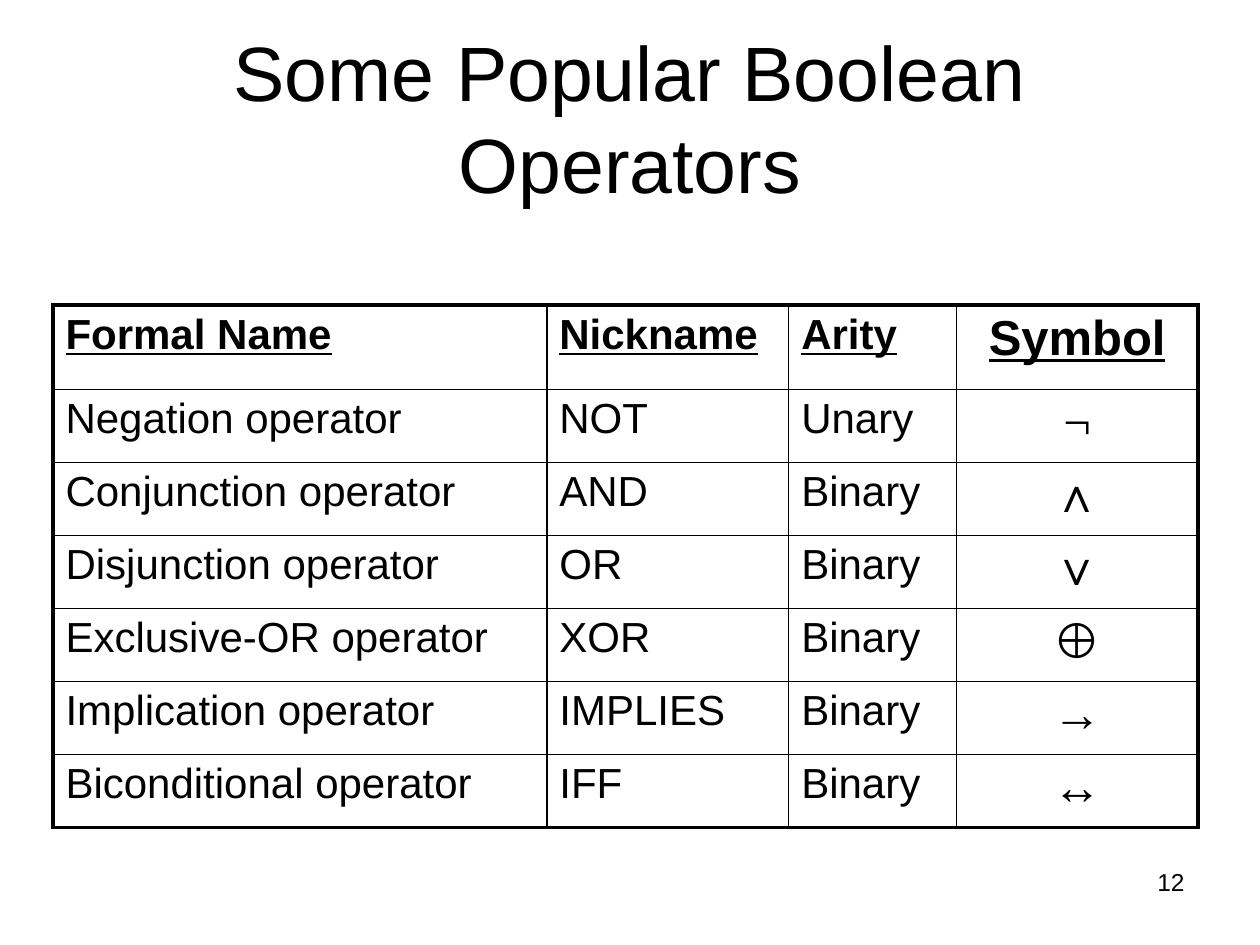
from lxml import etree
from pptx import Presentation
from pptx.dml.color import RGBColor
from pptx.enum import text
from pptx.oxml import ns
from pptx.util import Inches, Pt

BLACK, WHITE = "000000", "FFFFFF"
THIN, THICK = 1, 2.25


def style(paragraph, size, font="Arial", align=text.PP_ALIGN.LEFT):
    paragraph.alignment = align
    paragraph.font.size = Pt(size)
    paragraph.font.name = font
    paragraph.font.color.rgb = RGBColor.from_string(BLACK)


def add_child(parent, tag, **attributes):
    return etree.SubElement(parent, ns.qn(tag), attributes)


prs = Presentation()
prs.slide_width, prs.slide_height = Inches(10), Inches(7.5)
slide = prs.slides.add_slide(prs.slide_layouts[5])

title = slide.shapes.title
title.left, title.top, title.width, title.height = map(Inches, (0.5, 0.3, 9, 1.25))
title.text_frame.text = "Some Popular Boolean Operators"
title.text_frame.auto_size = text.MSO_AUTO_SIZE.NONE
title.text_frame.vertical_anchor = text.MSO_ANCHOR.MIDDLE
style(title.text_frame.paragraphs[0], 44, align=text.PP_ALIGN.CENTER)

operators = [
    ("Formal Name", "Nickname", "Arity", "Symbol"),
    ("Negation operator", "NOT", "Unary", "¬"),
    ("Conjunction operator", "AND", "Binary", "∧"),
    ("Disjunction operator", "OR", "Binary", "∨"),
    ("Exclusive-OR operator", "XOR", "Binary", "⊕"),
    ("Implication operator", "IMPLIES", "Binary", "→"),
    ("Biconditional operator", "IFF", "Binary", "↔"),
]
column_widths = [3.92, 1.92, 1.33, 1.92]
last_row, last_column = len(operators) - 1, len(column_widths) - 1
table = slide.shapes.add_table(len(operators), len(column_widths), Inches(0.42),
                               Inches(2.42), Inches(9.08), Inches(4.17)).table
for column, width in zip(table.columns, column_widths):
    column.width = Inches(width)
for r, row in enumerate(table.rows):
    row.height = Inches(0.67 if r == 0 else 0.58)

for r, values in enumerate(operators):
    for c, value in enumerate(values):
        cell = table.cell(r, c)
        cell.text = value
        paragraph = cell.text_frame.paragraphs[0]
        header, symbol = r == 0, c == last_column
        style(paragraph, 28 if symbol else 24,
              "Times New Roman" if symbol and not header else "Arial",
              text.PP_ALIGN.CENTER if symbol else text.PP_ALIGN.LEFT)
        paragraph.font.bold = paragraph.font.underline = header

        # Space before as a share of the text size
        spacing = etree.Element(ns.qn("a:spcBef"))
        add_child(spacing, "a:spcPct", val="20000")
        paragraph._p.get_or_add_pPr().insert(0, spacing)

        # Thick lines around the table, thin lines inside; borders precede the fill
        outer_edges = {"L": c == 0, "R": symbol, "T": header, "B": r == last_row}
        properties = cell._tc.get_or_add_tcPr()
        for side, outer in outer_edges.items():
            border = add_child(properties, f"a:ln{side}", w=str(Pt(THICK if outer else THIN)))
            add_child(add_child(border, "a:solidFill"), "a:srgbClr", val=BLACK)
        cell.fill.solid()
        cell.fill.fore_color.rgb = RGBColor.from_string(WHITE)

page_number = slide.shapes.add_textbox(Inches(7.17), Inches(6.83), Inches(2.33), Inches(0.52))
page_number.text_frame.word_wrap = True
page_number.text_frame.text = "12"
style(page_number.text_frame.paragraphs[0], 14, align=text.PP_ALIGN.RIGHT)

prs.save("out.pptx")
